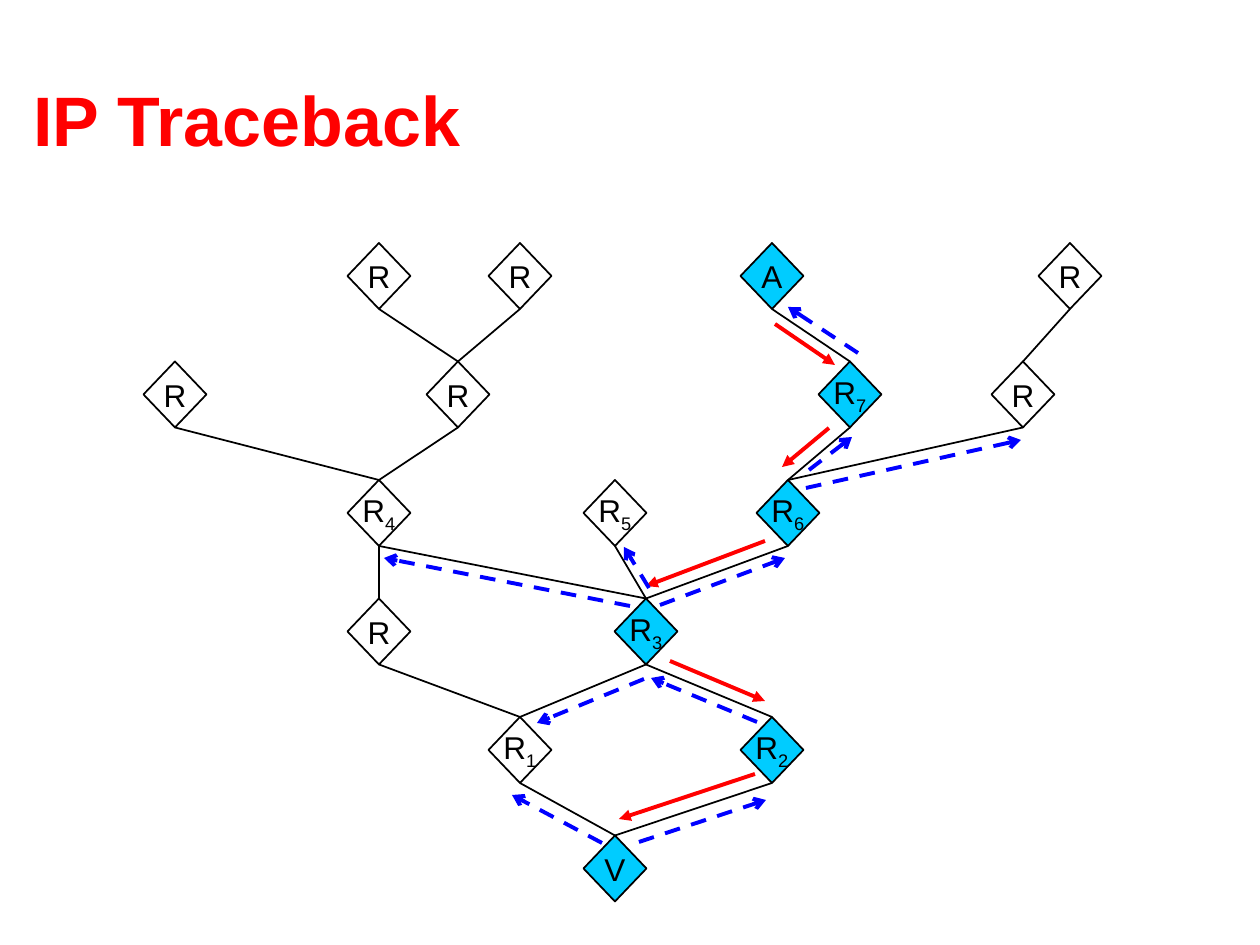
from pptx import Presentation
from pptx.dml.color import RGBColor
from pptx.enum.dml import MSO_LINE as Dash
from pptx.enum.shapes import MSO_CONNECTOR as Link, MSO_SHAPE as Shape
from pptx.enum.text import MSO_ANCHOR as Anchor, MSO_AUTO_SIZE as Fit, PP_ALIGN as Align
from pptx.oxml.ns import qn
from pptx.util import Emu, Pt
from lxml.etree import SubElement

SCALE = 914400 / 126
TOP, BOTTOM = 0, 2  # connection sites of a diamond

# name: (label, subscript, centre x, row, on the attack path)
NODES = {
    "V": ("V", "", 615, 5, True),
    "R1": ("R", "1", 520, 4, False),
    "R2": ("R", "2", 772, 4, True),
    "R3": ("R", "3", 646, 3, True),
    "R4": ("R", "4", 379, 2, False),
    "R5": ("R", "5", 615, 2, False),
    "R6": ("R", "6", 788, 2, True),
    "R7": ("R", "7", 850, 1, True),
    "A": ("A", "", 772, 0, True),
    "low": ("R", "", 379, 3, False),
    "west": ("R", "", 175, 1, False),
    "mid": ("R", "", 458, 1, False),
    "east": ("R", "", 1023, 1, False),
    "leaf1": ("R", "", 379, 0, False),
    "leaf2": ("R", "", 520, 0, False),
    "leaf3": ("R", "", 1070, 0, False),
}

# lower router: the routers above it
TREE = {
    "V": ["R1", "R2"],
    "R1": ["low", "R3"],
    "R2": ["R3"],
    "low": ["R4"],
    "R3": ["R4", "R5", "R6"],
    "R4": ["west", "mid"],
    "R6": ["R7", "east"],
    "R7": ["A"],
    "mid": ["leaf1", "leaf2"],
    "east": ["leaf3"],
}

ATTACK = [
    (775, 324, 835, 365),
    (829, 428, 782, 467),
    (765, 541, 646, 586),
    (670, 661, 765, 701),
    (755, 774, 619, 819),
]

TRACE = [
    (757, 722, 651, 678),
    (639, 842, 766, 800),
    (602, 843, 512, 795),
    (630, 606, 384, 558),
    (660, 605, 785, 558),
    (649, 588, 624, 547),
    (806, 488, 1021, 440),
    (809, 470, 852, 437),
    (858, 353, 788, 307),
    (644, 679, 537, 723),
]


def px(n):
    return Emu(round(n * SCALE))


def color(text):
    return RGBColor.from_string(text)


def write(para, text, size=18, ink="000000", bold=False, sub=False):
    run = para.add_run()
    run.text = text
    font = run.font
    font.name, font.size, font.bold = "Arial", Pt(size), bold
    font.color.rgb = color(ink)
    if sub:
        run._r.get_or_add_rPr().set("baseline", "-25000")


class Board:
    ink, lit, wide, high = "000000", "00CCFF", 63, 66
    first, step = 243, 118.5

    def __init__(self, slide):
        self.slide = slide

    def title(self, text):
        box = self.slide.shapes.title
        box.left, box.top, box.width, box.height = map(px, (21, 40, 1207, 158))
        frame = box.text_frame
        frame.auto_size = Fit.NONE
        frame.vertical_anchor = Anchor.MIDDLE
        para = frame.paragraphs[0]
        para.alignment = Align.LEFT
        write(para, text, size=40, ink="FF0000", bold=True)

    def node(self, label, sub, x, row, hit):
        y = self.first + row * self.step
        box = self.slide.shapes.add_shape(
            Shape.DIAMOND, px(x - self.wide / 2), px(y), px(self.wide), px(self.high))
        box.shadow.inherit = False
        if hit:
            box.fill.solid()
            box.fill.fore_color.rgb = color(self.lit)
        else:
            box.fill.background()
        box.line.color.rgb = color(self.ink)
        box.line.width = Pt(1)
        frame = box.text_frame
        frame.word_wrap = False
        frame.vertical_anchor = Anchor.MIDDLE
        para = frame.paragraphs[0]
        para.alignment = Align.CENTER
        write(para, label)
        if sub:
            write(para, sub, sub=True)
        return box

    def line(self, x1, y1, x2, y2, ink=ink, width=1):
        link = self.slide.shapes.add_connector(
            Link.STRAIGHT, px(x1), px(y1), px(x2), px(y2))
        link.line.color.rgb = color(ink)
        link.line.width = Pt(width)
        SubElement(link._element.spPr, qn("a:effectLst"))
        return link

    def edge(self, low, high):
        """Join the top of one node to the bottom of another."""
        link = self.line(0, 0, 0, 0)
        link.begin_connect(low, TOP)
        link.end_connect(high, BOTTOM)

    def arrow(self, ends, ink, head, dash=None):
        link = self.line(*ends, ink=ink, width=2.25)
        if dash:
            link.line.dash_style = dash
        SubElement(link.line._get_or_add_ln(), qn("a:tailEnd"), type=head)


def main():
    deck = Presentation()
    deck.slide_width, deck.slide_height = px(1260), px(945)
    board = Board(deck.slides.add_slide(deck.slide_layouts[5]))
    board.title("IP Traceback")
    nodes = {name: board.node(*row) for name, row in NODES.items()}
    for low, tops in TREE.items():
        for high in tops:
            board.edge(nodes[low], nodes[high])
    for ends in ATTACK:
        board.arrow(ends, "FF0000", "triangle")
    for ends in TRACE:
        board.arrow(ends, "0000FF", "arrow", Dash.DASH)
    deck.save("out.pptx")


if __name__ == "__main__":
    main()
